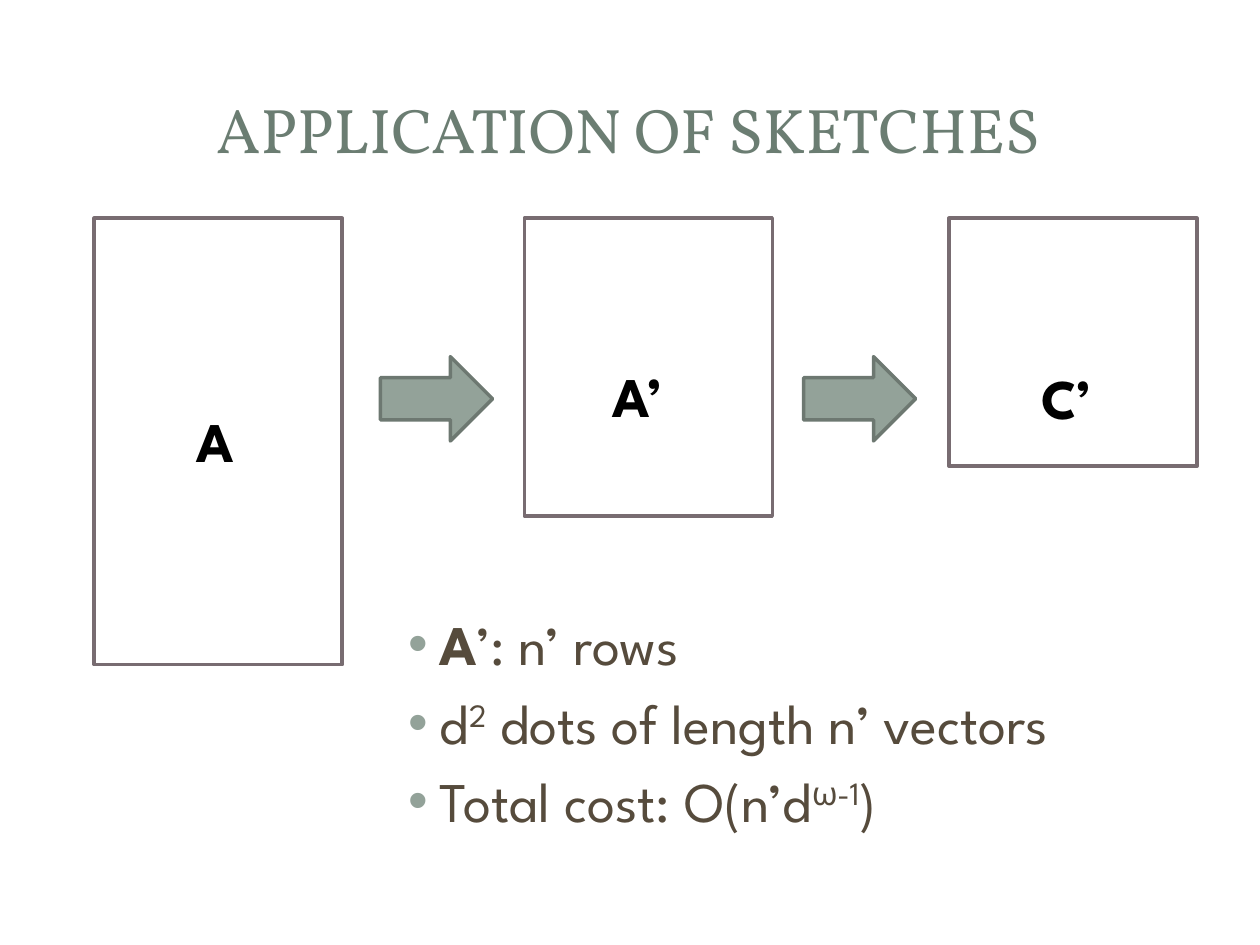
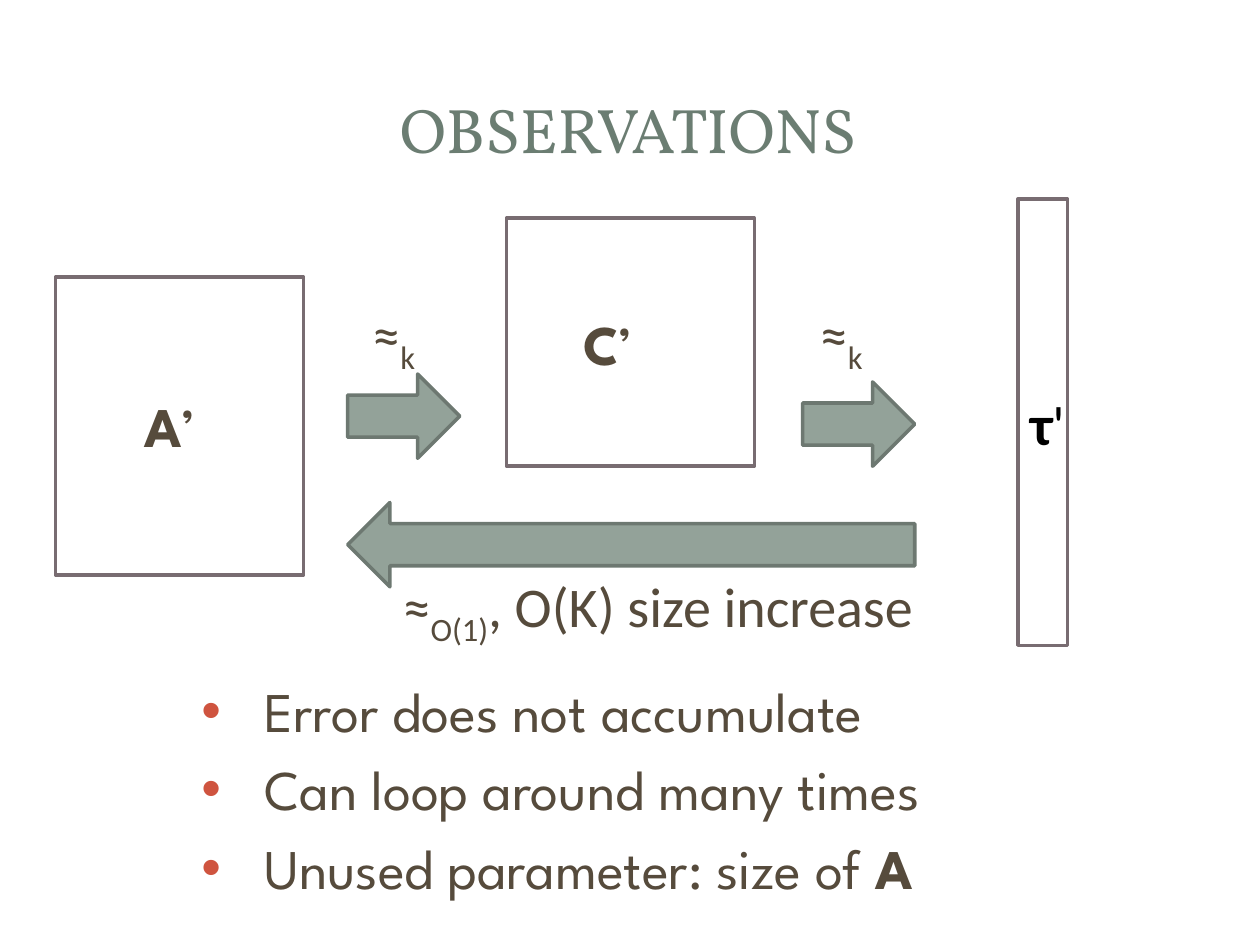
"""Build two slides on matrix sketches: their application and observations."""
from dataclasses import dataclass, field
from typing import Any, NamedTuple

from lxml import etree
from pptx import Presentation
from pptx.dml.color import RGBColor
from pptx.enum.shapes import MSO_SHAPE
from pptx.enum.text import MSO_ANCHOR, PP_ALIGN
from pptx.oxml.ns import qn
from pptx.util import Cm, Pt

RECT = MSO_SHAPE.RECTANGLE
ARROW = MSO_SHAPE.RIGHT_ARROW
MIDDLE = MSO_ANCHOR.MIDDLE
TOP = MSO_ANCHOR.TOP
CENTER = PP_ALIGN.CENTER
LEFT = PP_ALIGN.LEFT


@dataclass(frozen=True)
class Theme:
    """Colours, fonts and type sizes of both slides."""
    white: RGBColor = RGBColor.from_string("FFFFFF")
    black: RGBColor = RGBColor.from_string("000000")
    title: RGBColor = RGBColor.from_string("6B7D72")
    text: RGBColor = RGBColor.from_string("564B3C")
    sage: RGBColor = RGBColor.from_string("93A299")
    sage_edge: RGBColor = RGBColor.from_string("6D7871")
    box_edge: RGBColor = RGBColor.from_string("786C71")
    red: RGBColor = RGBColor.from_string("CF543F")
    title_font: str = "Vollkorn"
    body_font: str = "League Spartan"
    math_font: str = "Calibri"
    title_size: Pt = Pt(36)
    body_size: Pt = Pt(32)
    line: Pt = Pt(2)
    bullet_gap: Pt = Pt(6.4)


THEME = Theme()
SIDE = 5.0
TALL = 9.0
SKETCH = 6.0
BOX_TOP = 4.4
ARROW_W = 2.26
ARROW_H = 1.7
LABEL_H = 1.63
SUPER = 30
SUB = -25


class Area(NamedTuple):
    """Left, top, width and height in centimetres."""
    x: float
    y: float
    w: float
    h: float


class Run(NamedTuple):
    """A stretch of text with its weight and baseline shift in percent."""
    text: str
    bold: bool = False
    shift: int = 0


@dataclass(frozen=True)
class Label:
    """A line of text inside or near a shape."""
    x: float
    y: float
    w: float
    runs: list[Run]
    color: RGBColor = THEME.text
    font: str = THEME.body_font


@dataclass(frozen=True)
class Bullets:
    """A bulleted list with its indent in centimetres."""
    area: Area
    color: RGBColor
    margin: float
    hang: float
    items: list[list[Run]]


@dataclass(frozen=True)
class Diagram:
    """All content of one slide."""
    title: str
    bullets: Bullets
    matrices: list[Area]
    arrows: list[Area]
    labels: list[Label]
    back_arrows: list[Area] = field(default_factory=list)


def apply(target: Any, values: dict[str, Any]) -> None:
    """Set each named attribute on the target."""
    for name, value in values.items():
        setattr(target, name, value)


def lengths(area: Area) -> list[Cm]:
    """Convert an area to slide lengths."""
    return [Cm(v) for v in area]


def add_runs(p: Any, runs: list[Run], font: str, size: Pt, color: RGBColor) -> None:
    """Append formatted runs to a paragraph."""
    for run in runs:
        r = p.add_run()
        r.text = run.text
        apply(r.font, {"name": font, "size": size, "bold": run.bold})
        r.font.color.rgb = color
        if run.shift:
            r.font._element.set("baseline", str(run.shift * 1000))


def add_text(s: Any, area: Area, anchor: Any = TOP) -> Any:
    """Add a wrapping text box and return its text frame."""
    tf = s.shapes.add_textbox(*lengths(area)).text_frame
    apply(tf, {"word_wrap": True, "vertical_anchor": anchor})
    return tf


def add_title(s: Any, text: str) -> None:
    """Add the centred slide title."""
    p = add_text(s, Area(1.19, 1.14, 22.94, 2.9), MIDDLE).paragraphs[0]
    p.alignment = CENTER
    add_runs(p, [Run(text)], THEME.title_font, THEME.title_size, THEME.title)


def add_matrix(s: Any, area: Area) -> None:
    """Add an outlined rectangle that stands for a matrix."""
    sp = s.shapes.add_shape(RECT, *lengths(area))
    sp.shadow.inherit = False
    sp.fill.background()
    sp.line.color.rgb = THEME.box_edge
    sp.line.width = THEME.line


def add_arrow(s: Any, area: Area, rotation: int = 0) -> None:
    """Add a block arrow between matrices."""
    sp = s.shapes.add_shape(ARROW, *lengths(area))
    sp.shadow.inherit = False
    sp.fill.solid()
    sp.fill.fore_color.rgb = THEME.sage
    sp.line.color.rgb = THEME.sage_edge
    apply(sp.line, {"width": THEME.line})
    apply(sp, {"rotation": rotation})


def add_label(s: Any, label: Label) -> None:
    """Add a one-line label."""
    tf = add_text(s, Area(label.x, label.y, label.w, LABEL_H))
    add_runs(tf.paragraphs[0], label.runs, label.font, THEME.body_size, label.color)


def add_bullets(s: Any, bullets: Bullets) -> None:
    """Add a bulleted list."""
    tf = add_text(s, bullets.area)
    for i, runs in enumerate(bullets.items):
        p = tf.add_paragraph() if i else tf.paragraphs[0]
        apply(p, {"alignment": LEFT, "space_before": THEME.bullet_gap if i else Pt(0)})
        pPr = p._p.get_or_add_pPr()
        pPr.set("marL", str(Cm(bullets.margin)))
        pPr.set("indent", str(-Cm(bullets.hang)))
        color = etree.SubElement(pPr, qn("a:buClr"))
        etree.SubElement(color, qn("a:srgbClr"), val=str(bullets.color))
        etree.SubElement(pPr, qn("a:buFont"), typeface="Arial")
        etree.SubElement(pPr, qn("a:buChar"), char="•")
        add_runs(p, runs, THEME.body_font, THEME.body_size, THEME.text)


def add_diagram(prs: Any, diagram: Diagram) -> None:
    """Add one slide with its title, list and diagram."""
    s = prs.slides.add_slide(prs.slide_layouts[6])
    s.background.fill.solid()
    s.background.fill.fore_color.rgb = THEME.white
    add_title(s, diagram.title)
    add_bullets(s, diagram.bullets)
    for area in diagram.matrices:
        add_matrix(s, area)
    for area in diagram.arrows:
        add_arrow(s, area)
    for area in diagram.back_arrows:
        add_arrow(s, area, 180)
    for label in diagram.labels:
        add_label(s, label)


APPROX_K = [Run("≈"), Run("k", shift=SUB)]

DIAGRAMS = [
    Diagram(
        title="APPLICATION OF SKETCHES",
        bullets=Bullets(Area(7.67, 12.17, 16.46, 4.93), THEME.sage, 0.95, 0.64, [
            [Run("A", True), Run("’: n’ rows")],
            [Run("d"), Run("2", shift=SUPER), Run(" dots of length n’ vectors")],
            [Run("Total cost: O(n’d"), Run("ω-1", shift=SUPER), Run(")")],
        ]),
        matrices=[
            Area(1.9, BOX_TOP, SIDE, TALL),
            Area(10.57, BOX_TOP, SIDE, SKETCH),
            Area(19.13, BOX_TOP, SIDE, SIDE),
        ],
        arrows=[Area(x, 7.19, ARROW_W, ARROW_H) for x in (7.67, 16.2)],
        labels=[
            Label(3.71, 8.08, 1.37, [Run("A", True)], THEME.black),
            Label(12.09, 7.16, 1.7, [Run("A’", True)], THEME.black),
            Label(20.75, 7.21, 1.75, [Run("C’", True)], THEME.black),
        ],
    ),
    Diagram(
        title="OBSERVATIONS",
        bullets=Bullets(Area(3.81, 13.51, 17.86, 4.7), THEME.red, 1.27, 1.27, [
            [Run("Error does not accumulate")],
            [Run("Can loop around many times")],
            [Run("Unused parameter: size of "), Run("A", True)],
        ]),
        matrices=[
            Area(1.12, 5.59, SIDE, SKETCH),
            Area(10.21, BOX_TOP, SIDE, SIDE),
            Area(20.52, 4.01, 1, TALL),
        ],
        arrows=[
            Area(7.01, 7.54, ARROW_W, ARROW_H),
            Area(16.18, 7.7, ARROW_W, ARROW_H),
        ],
        back_arrows=[Area(7.01, 10.13, 11.43, ARROW_H)],
        labels=[
            Label(2.67, 7.77, 2.29, [Run("A", True), Run("’")]),
            Label(11.51, 6.12, 2.41, [Run("C", True), Run("’")]),
            Label(20.52, 7.72, 1.37, [Run("τ", True), Run("'")],
                  THEME.black, THEME.math_font),
            Label(7.26, 5.92, 1.6, APPROX_K, font=THEME.math_font),
            Label(16.28, 5.92, 1.6, APPROX_K, font=THEME.math_font),
            Label(7.87, 11.4, 11.66,
                  [Run("≈"), Run("O(1)", shift=SUB), Run(", O(K) size increase")],
                  font=THEME.math_font),
        ],
    ),
]


def main() -> None:
    """Build and save the presentation."""
    prs = Presentation()
    apply(prs, {"slide_width": Cm(25.4), "slide_height": Cm(19.05)})
    for diagram in DIAGRAMS:
        add_diagram(prs, diagram)
    prs.save("out.pptx")


if __name__ == "__main__":
    main()
